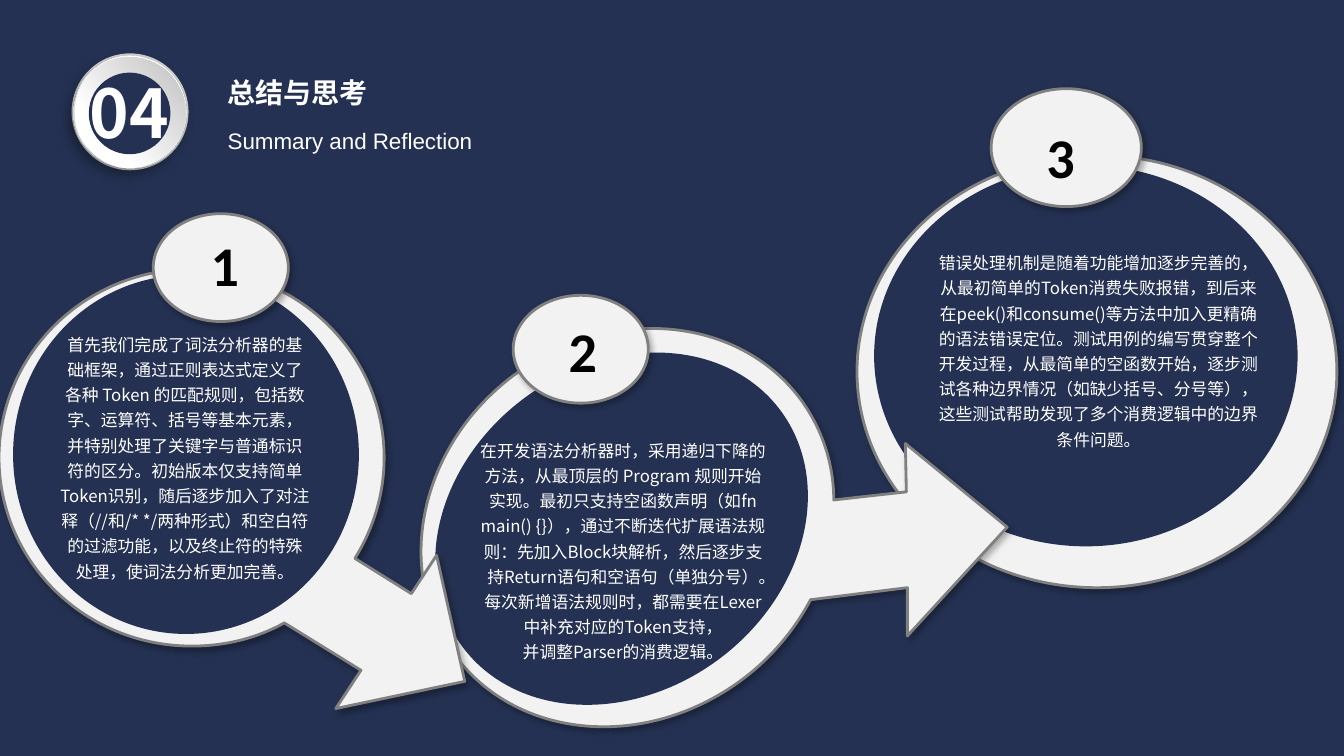
"""Build the summary slide: three linked rings, each with a number and a note."""
from math import cos, radians, sin
from lxml.etree import SubElement
from pptx import Presentation
from pptx.dml.color import RGBColor
from pptx.enum.shapes import MSO_SHAPE as Kind
from pptx.enum.text import MSO_ANCHOR as Anchor, MSO_AUTO_SIZE as Fit, PP_ALIGN as Align
from pptx.oxml.ns import qn
from pptx.util import Inches, Pt

NAVY, PALE, GREY, WHITE, BLACK = "243152", "F2F2F2", "808080", "FFFFFF", "000000"
SANS = "Noto Sans CJK SC"
SOFT = (30, 4.5, 2.6, 53)
rgb = RGBColor.from_string

deck = Presentation()
deck.slide_width, deck.slide_height = Inches(13.33), Inches(7.5)
slide = deck.slides.add_slide(deck.slide_layouts[6])
slide.background.fill.solid()
slide.background.fill.fore_color.rgb = rgb(NAVY)
shapes = slide.shapes


def draw(home, kind, box, fill=None, edge=None, shade=None, turn=0):
    left, top, wide, high = box
    if isinstance(kind, list):
        ends = [(left + wide, top), (left + wide, top + high), (left, top + high)]
        form = home.build_freeform(Inches(left), Inches(top))
        form.add_line_segments([(Inches(x), Inches(y)) for x, y in ends], close=True)
        shape = form.convert_to_shape()
        track = next(shape._element.iter(qn("a:path")))
        for child in list(track):
            track.remove(child)
        c, s = cos(radians(turn)), sin(radians(turn))
        for i, step in enumerate(kind):
            tag = "a:moveTo" if i == 0 else "a:lnTo" if len(step) == 2 else "a:cubicBezTo"
            node = SubElement(track, qn(tag))
            for x, y in zip(step[::2], step[1::2]):
                dx, dy = x - left - wide / 2, y - top - high / 2
                SubElement(node, qn("a:pt"), x=str(Inches(wide / 2 + c * dx + s * dy)),
                           y=str(Inches(high / 2 - s * dx + c * dy)))
        SubElement(track, qn("a:close"))
    else:
        shape = home.add_shape(kind, *map(Inches, box))
    shape.shadow.inherit = False
    shape.rotation = turn
    if fill is None:
        shape.fill.background()
    elif isinstance(fill, str):
        shape.fill.solid()
        shape.fill.fore_color.rgb = rgb(fill)
    else:
        shape.fill.gradient()
        shape.fill.gradient_angle = 45
        for stop, (place, tone) in zip(shape.fill.gradient_stops, fill):
            stop.position = place
            stop.color.rgb = rgb(tone)
    if edge:
        shape.line.color.rgb = rgb(edge)
        shape.line.width = Pt(2)
    else:
        shape.line.fill.background()
    if shade:
        alpha, blur, dist, angle = shade
        effect = shape._element.spPr.find(qn("a:effectLst"))
        drop = SubElement(effect, qn("a:outerShdw"), blurRad=str(Pt(blur)),
                          dist=str(Pt(dist)), dir=str(angle * 60000),
                          algn="ctr", rotWithShape="0")
        tone = SubElement(drop, qn("a:srgbClr"), val=BLACK)
        SubElement(tone, qn("a:alpha"), val=str(alpha * 1000))
    return shape


def write(shape, lines, size, face=SANS, tone=WHITE, bold=False, align=Align.CENTER, gap=None):
    frame = shape.text_frame
    frame.word_wrap = True
    frame.auto_size = Fit.SHAPE_TO_FIT_TEXT
    for i, line in enumerate(lines):
        para = frame.paragraphs[0] if i == 0 else frame.add_paragraph()
        para.alignment = align
        para.line_spacing = gap
        run = para.add_run()
        run.text = line
        font = run.font
        font.name, font.size, font.bold = face, Pt(size), bold
        font.color.rgb = rgb(tone)
        SubElement(run._r.get_or_add_rPr(), qn("a:ea"), typeface=face)


right = [
    (5.1, 3.72), (6.05, 3.02, 7.32, 3.13, 7.94, 3.96), (8.16, 4.26, 8.27, 4.61, 8.27, 4.96),
    (8.99, 4.88), (8.98, 4.4), (9.99, 5.23), (9, 6.31), (9, 5.83), (8.04, 5.95),
    (7.88, 6.25, 7.65, 6.53, 7.35, 6.75), (6.4, 7.45, 5.13, 7.34, 4.51, 6.5),
    (3.89, 5.67, 4.16, 4.42, 5.1, 3.72)]
down = [
    (1.9, 2.67), (2.95, 2.67, 3.81, 3.51, 3.81, 4.54), (3.81, 4.91, 3.7, 5.25, 3.52, 5.54),
    (4.08, 5.89), (4.33, 5.51), (4.61, 6.76), (3.33, 7.03), (3.58, 6.65), (2.82, 6.18),
    (2.55, 6.33, 2.24, 6.41, 1.9, 6.41), (0.85, 6.41, -0.01, 5.58, -0.01, 4.54),
    (-0.01, 3.51, 0.85, 2.67, 1.9, 2.67)]
rings = [
    (Kind.OVAL, (8.5, 1.54, 4.76, 4.29), 0, (8.67, 1.64, 4.2, 3.78), (9.83, 0.88, 1.49, 1.17)),
    (right, (4.19, 3.02, 5.16, 4.4), 323.4, (4.2, 3.63, 3.93, 3.23), (5.09, 2.93, 1.34, 1.07)),
    (down, (-0.01, 2.67, 4.61, 4.36), 0, (0.13, 2.73, 3.43, 3.56), (1.52, 2.12, 1.34, 1.07))]
for kind, box, turn, hole, badge in rings:
    group = shapes.add_group_shape().shapes
    draw(group, kind, box, PALE, GREY, SOFT, turn)
    draw(group, Kind.OVAL, hole, NAVY, turn=turn)
    draw(group, Kind.OVAL, badge, PALE, GREY, SOFT)

for mark, left, top in (("2", 5.16, 2.89), ("3", 9.9, 0.97), ("1", 1.61, 2.04)):
    box = shapes.add_textbox(*map(Inches, (left, top, 1.24, 1.29)))
    write(box, [mark], 40, "Calibri", BLACK, True, gap=1.3)

notes = [
    ((0.5, 3.22, 2.67, 2.6), [
        "首先我们完成了词法分析器的基础框架，通过正则表达式定义了各种 Token 的匹配规则，"
        "包括数字、运算符、括号等基本元素，并特别处理了关键字与普通标识符的区分。"
        "初始版本仅支持简单Token识别，随后逐步加入了对注释（//和/* */两种形式）"
        "和空白符的过滤功能，以及终止符的特殊处理，使词法分析更加完善。"]),
    ((4.66, 4.27, 3.04, 2.35), [
        "在开发语法分析器时，采用递归下降的方法，从最顶层的 Program 规则开始实现。"
        "最初只支持空函数声明（如fn main() {}），通过不断迭代扩展语法规则："
        "先加入Block块解析，然后逐步支持Return语句和空语句（单独分号）。"
        "每次新增语法规则时，都需要在Lexer中补充对应的Token支持，",
        "并调整Parser的消费逻辑。"]),
    ((9.19, 2.41, 3.41, 2.1), [
        "错误处理机制是随着功能增加逐步完善的，从最初简单的Token消费失败报错，"
        "到后来在peek()和consume()等方法中加入更精确的语法错误定位。"
        "测试用例的编写贯穿整个开发过程，从最简单的空函数开始，"
        "逐步测试各种边界情况（如缺少括号、分号等），"
        "这些测试帮助发现了多个消费逻辑中的边界条件问题。"])]
for box, lines in notes:
    write(shapes.add_textbox(*map(Inches, box)), lines, 12, gap=1.25)

outer = [
    (1.78, 0.85), (1.85, 0.98, 1.87, 1.14, 1.82, 1.28), (1.78, 1.42, 1.68, 1.54, 1.55, 1.61),
    (1.42, 1.67, 1.26, 1.69, 1.12, 1.64), (0.98, 1.6, 0.86, 1.5, 0.79, 1.37),
    (0.72, 1.24, 0.71, 1.09, 0.76, 0.95), (0.8, 0.8, 0.9, 0.69, 1.03, 0.62),
    (1.16, 0.55, 1.31, 0.53, 1.45, 0.58), (1.6, 0.62, 1.71, 0.72, 1.78, 0.85), (1.78, 0.85)]
inner = [
    (0.74, 1.09), (0.75, 0.94, 0.81, 0.81, 0.92, 0.71), (1.03, 0.61, 1.17, 0.56, 1.32, 0.57),
    (1.46, 0.58, 1.6, 0.64, 1.7, 0.75), (1.79, 0.86, 1.85, 1, 1.84, 1.15),
    (1.83, 1.29, 1.77, 1.43, 1.66, 1.52), (1.55, 1.62, 1.41, 1.67, 1.26, 1.67),
    (1.11, 1.66, 0.98, 1.59, 0.88, 1.48), (0.78, 1.38, 0.73, 1.23, 0.74, 1.09), (0.74, 1.09)]
discs = [
    (Kind.OVAL, (0.71, 0.53, 1.16, 1.16), "D3D3D3", None, 90),
    (outer, (0.73, 0.55, 1.12, 1.12), [(0.17, WHITE), (0.88, "B8B8B8")], (39, 10, 5, 123), 152.3),
    (inner, (0.74, 0.57, 1.1, 1.1), [(0.29, WHITE), (0.98, "BFBFBF")], None, 3),
    (Kind.OVAL, (0.88, 0.72, 0.81, 0.81), NAVY, None, 90)]
group = shapes.add_group_shape().shapes
for kind, box, fill, shade, turn in discs:
    draw(group, kind, box, fill, shade=shade, turn=turn)

box = shapes.add_textbox(*map(Inches, (0.59, 0.66, 1.39, 0.91)))
write(box, ["04"], 48, bold=True)
box = shapes.add_textbox(*map(Inches, (2.16, 0.7, 5.42, 0.44)))
write(box, ["总结与思考"], 20, bold=True, align=Align.LEFT)
box = draw(shapes, Kind.SNIP_1_RECTANGLE, (2.16, 1.21, 5.49, 0.37))
box.adjustments[0] = 0
box.text_frame.vertical_anchor = Anchor.MIDDLE
write(box, ["Summary and Reflection"], 16, "Arial", align=Align.LEFT)

deck.save("out.pptx")
